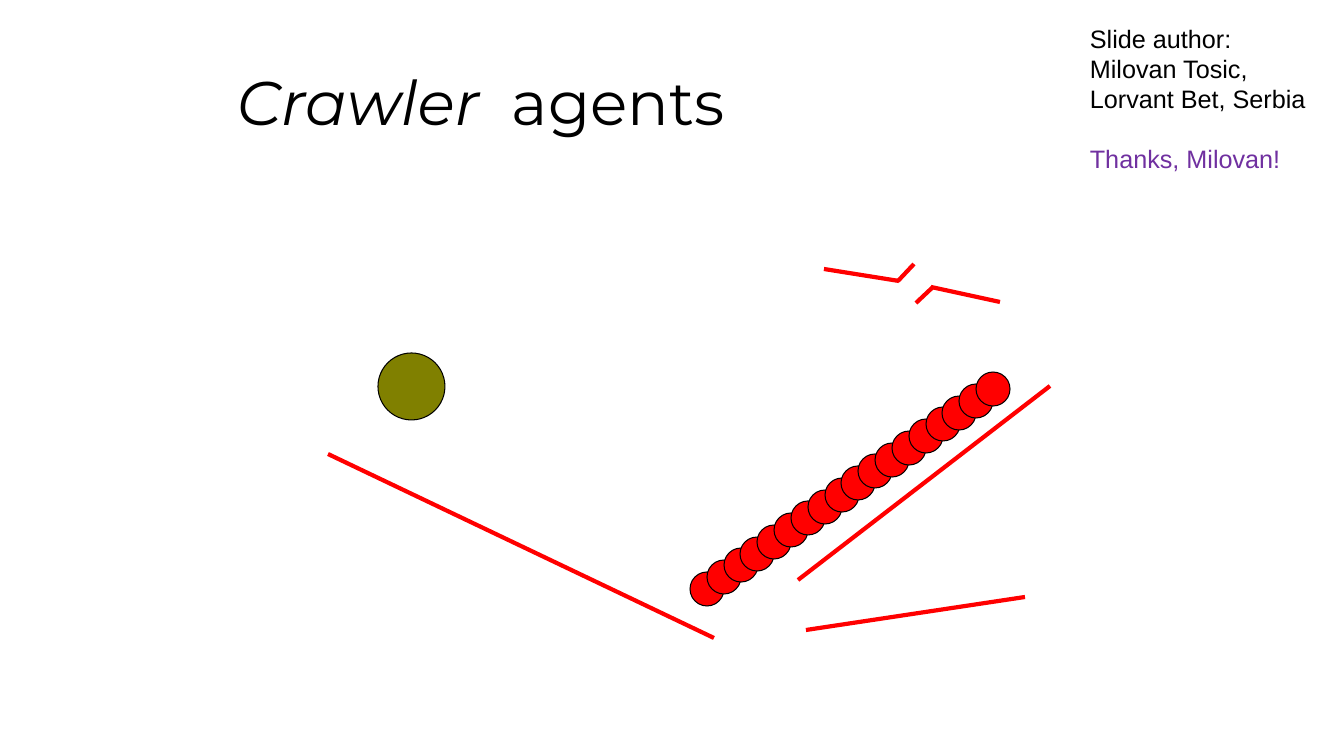
import pptx
import pptx.dml.color
import pptx.enum.shapes
import pptx.oxml.ns
import pptx.util

BLACK = pptx.dml.color.RGBColor(0x00, 0x00, 0x00)
RED = pptx.dml.color.RGBColor(0xFF, 0x00, 0x00)
OLIVE = pptx.dml.color.RGBColor(0x80, 0x80, 0x00)
PURPLE = pptx.dml.color.RGBColor(0x70, 0x30, 0xA0)

SLIDE_WIDTH, SLIDE_HEIGHT = 1344, 756
EMU_PER_PX = 12192000 / SLIDE_WIDTH


def px(length):
    return pptx.util.Emu(round(length * EMU_PER_PX))


class SlideBuilder:
    """Holds the style and the slide being drawn."""

    outline_width = pptx.util.Pt(0.75)
    stroke_width = pptx.util.Pt(3)

    def __init__(self, slide):
        self.slide = slide

    def circle(self, left, top, diameter, fill):
        shape = self.slide.shapes.add_shape(
            pptx.enum.shapes.MSO_SHAPE.OVAL,
            px(left), px(top), px(diameter), px(diameter))
        shape.shadow.inherit = False
        shape.fill.solid()
        shape.fill.fore_color.rgb = fill
        shape.line.color.rgb = BLACK
        shape.line.width = self.outline_width

    def line(self, start, end):
        connector = self.slide.shapes.add_connector(
            pptx.enum.shapes.MSO_CONNECTOR.STRAIGHT,
            *(px(value) for value in start + end))
        connector.line.color.rgb = RED
        connector.line.width = self.stroke_width
        properties = connector._element.spPr
        properties.append(properties.makeelement(pptx.oxml.ns.qn("a:effectLst"), {}))

    def text_box(self, left, top, width, height):
        frame = self.slide.shapes.add_textbox(
            px(left), px(top), px(width), px(height)).text_frame
        frame.word_wrap = True
        return frame

    def run(self, paragraph, text, font, size, color=BLACK, italic=False, spacing=0):
        run = paragraph.add_run()
        run.text = text
        run.font.name = font
        run.font.size = pptx.util.Pt(size)
        run.font.color.rgb = color
        run.font.italic = italic
        if spacing:  # hundredths of a point
            run.font._element.set("spc", str(spacing))


def main():
    presentation = pptx.Presentation()
    presentation.slide_width = px(SLIDE_WIDTH)
    presentation.slide_height = px(SLIDE_HEIGHT)
    builder = SlideBuilder(presentation.slides.add_slide(presentation.slide_layouts[6]))

    # Ball and walls
    builder.circle(378, 353, 67, OLIVE)
    walls = [
        ((328, 454), (714, 638)),
        ((806, 630), (1025, 597)),
        ((798, 580), (1050, 386)),
    ]
    for start, end in walls:
        builder.line(start, end)

    # Crawler: a chain of evenly spaced circles
    first, last, steps = (690, 572), (976, 372), 17
    for step in range(steps + 1):
        left, top = (round(a + (b - a) * step / steps) for a, b in zip(first, last))
        builder.circle(left, top, 34, RED)

    # Broken wall at the top
    broken_wall = [
        ((931, 287), (1000, 302)),
        ((824, 269), (899, 281)),
        ((898, 281), (914, 264)),
        ((916, 303), (933, 287)),
    ]
    for start, end in broken_wall:
        builder.line(start, end)

    # Title, with a widened word gap
    title = builder.text_box(227, 59, 932, 84).paragraphs[0]
    builder.run(title, "Crawler", "Montserrat", 44, italic=True)
    builder.run(title, " ", "Montserrat", 44, spacing=1150)
    builder.run(title, "agents", "Montserrat", 44)

    # Author credit
    credit = builder.text_box(1080, 18, 261, 163)
    credit_lines = [
        ("Slide author:", BLACK, 0),
        ("Milovan Tosic,", BLACK, 0),
        ("Lorvant Bet, Serbia", BLACK, 0),
        ("Thanks, Milovan!", PURPLE, 21),
    ]
    for index, (text, color, space_before) in enumerate(credit_lines):
        paragraph = credit.add_paragraph() if index else credit.paragraphs[0]
        if space_before:
            paragraph.space_before = pptx.util.Pt(space_before)
        builder.run(paragraph, text, "Arial", 18, color)

    presentation.save("out.pptx")


if __name__ == "__main__":
    main()
